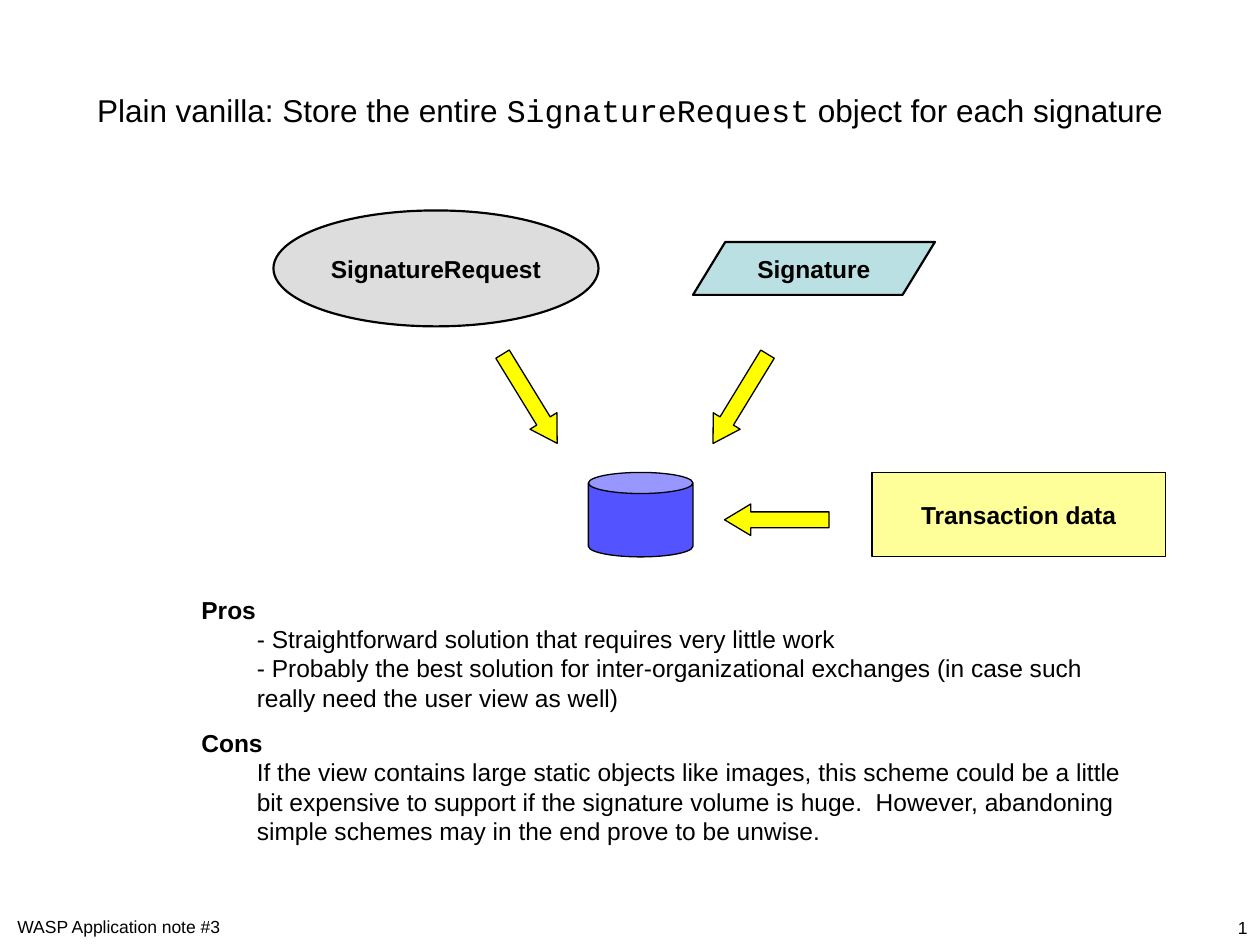
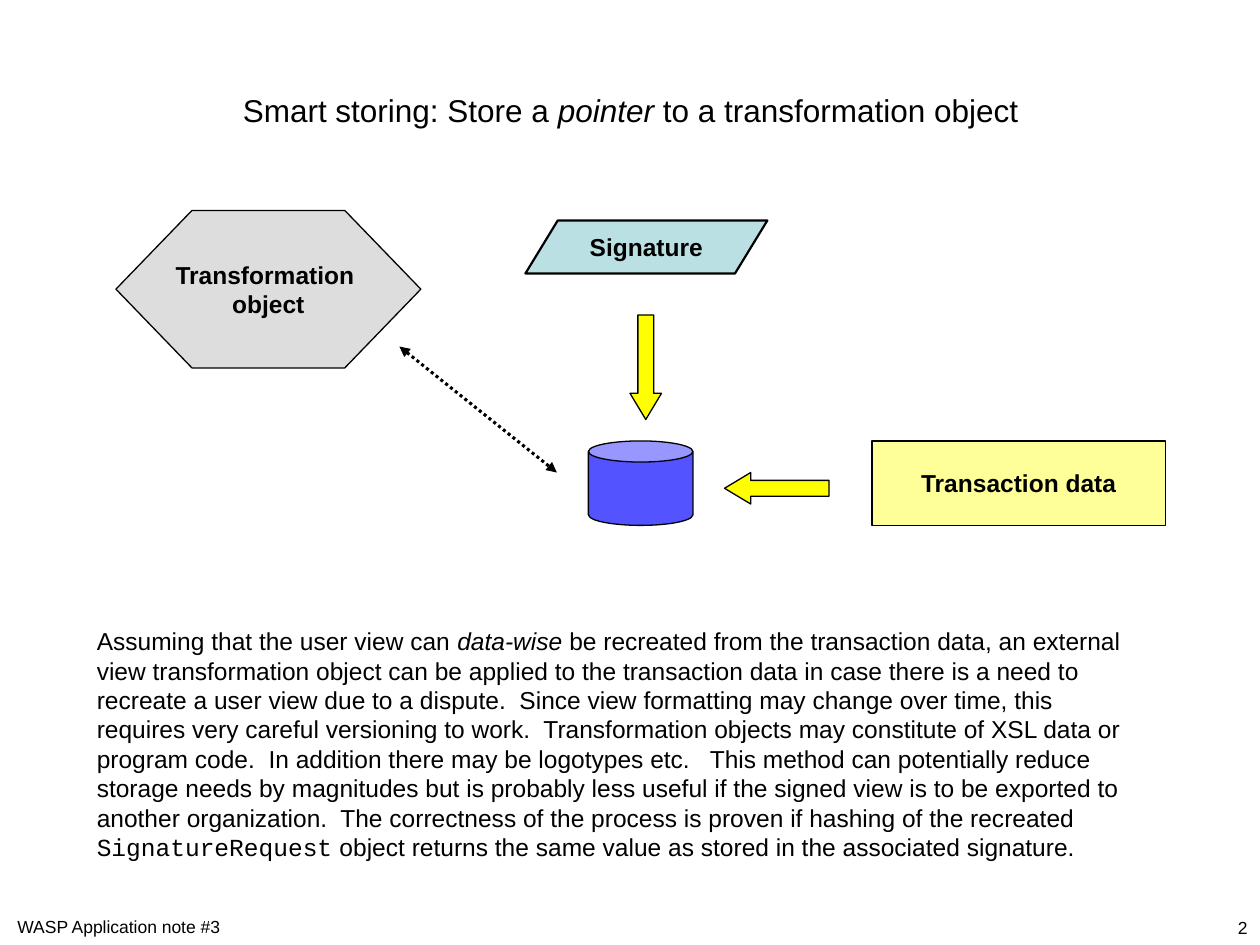
"""Build two slides comparing ways to store signed transactions."""
from typing import NamedTuple

from lxml.etree import SubElement
from pptx import Presentation
from pptx.dml.color import RGBColor
from pptx.enum.dml import MSO_LINE
from pptx.enum.shapes import MSO_CONNECTOR, MSO_SHAPE
from pptx.enum.text import MSO_ANCHOR, MSO_AUTO_SIZE, PP_ALIGN
from pptx.oxml.ns import qn
from pptx.util import Inches, Pt

BLACK = RGBColor(0x00, 0x00, 0x00)
GREY = RGBColor(0xDD, 0xDD, 0xDD)
TEAL = RGBColor(0xBB, 0xE0, 0xE3)
BLUE = RGBColor(0x53, 0x53, 0xFF)
YELLOW = RGBColor(0xFF, 0xFF, 0x00)
PALE_YELLOW = RGBColor(0xFF, 0xFF, 0x99)
SANS = "Arial"
MONO = "Courier New"
THIN = 0.74
MEDIUM = 1.25
HANGING = Inches(0.44)


class Box(NamedTuple):
    left: float
    top: float
    width: float
    height: float

    def lengths(self):
        return [Inches(value) for value in self]


class Span(NamedTuple):
    text: str
    bold: bool = False
    italic: bool = False
    font: str = SANS


class Node(NamedTuple):
    kind: MSO_SHAPE
    box: Box
    fill: RGBColor
    label: str = ""
    line_width: float = THIN
    adjustments: tuple = ()
    rotation: float = 0


TITLE_BOX = Box(0.67, 0.67, 8.67, 0.4)
FOOTER_BOX = Box(0.04, 7.22, 3.39, 0.27)
NUMBER_BOX = Box(6.61, 7.23, 3.39, 0.27)


def write_text(frame, paragraphs, *, size=14, align=PP_ALIGN.LEFT,
               anchor=MSO_ANCHOR.TOP, wrap=True, space_before=0, hanging=False):
    """Fill a text frame with paragraphs made of spans."""
    frame.auto_size = MSO_AUTO_SIZE.NONE
    frame.word_wrap = wrap
    frame.vertical_anchor = anchor
    for index, spans in enumerate(paragraphs):
        paragraph = frame.add_paragraph() if index else frame.paragraphs[0]
        paragraph.alignment = align
        paragraph.space_before = Pt(space_before if index else 0)
        paragraph.font.size = Pt(size)
        if hanging:
            properties = paragraph._p.get_or_add_pPr()
            properties.set("marL", str(HANGING))
            properties.set("indent", str(-HANGING))
        for span in spans:
            for line_index, line in enumerate(span.text.split("\n")):
                if line_index:
                    paragraph.add_line_break()
                if line:
                    run = paragraph.add_run()
                    run.text = line
                    run.font.name = span.font
                    run.font.size = Pt(size)
                    run.font.bold = span.bold
                    run.font.italic = span.italic
                    run.font.color.rgb = BLACK


def add_text(slide, box: Box, paragraphs, **text_format):
    """Add a text box and return it."""
    shape = slide.shapes.add_textbox(*box.lengths())
    write_text(shape.text_frame, paragraphs, **text_format)
    return shape


def add_node(slide, node: Node) -> None:
    """Draw one diagram shape with its optional label."""
    shape = slide.shapes.add_shape(node.kind, *node.box.lengths())
    shape.shadow.inherit = False
    shape.rotation = node.rotation
    for index, value in enumerate(node.adjustments):
        shape.adjustments[index] = value
    shape.fill.solid()
    shape.fill.fore_color.rgb = node.fill
    shape.line.color.rgb = BLACK
    shape.line.width = Pt(node.line_width)
    if node.label:
        write_text(shape.text_frame, [[Span(node.label, bold=True)]],
                   align=PP_ALIGN.CENTER, anchor=MSO_ANCHOR.MIDDLE, wrap=False)


def add_pointer(slide, start: tuple, end: tuple) -> None:
    """Draw a dotted line with an arrowhead at each end."""
    connector = slide.shapes.add_connector(
        MSO_CONNECTOR.STRAIGHT, *[Inches(value) for value in start + end])
    connector.line.color.rgb = BLACK
    connector.line.width = Pt(1.76)
    connector.line.dash_style = MSO_LINE.ROUND_DOT
    line = connector.line._get_or_add_ln()
    for end_name in ("a:headEnd", "a:tailEnd"):
        SubElement(line, qn(end_name), type="triangle")
    SubElement(connector._element.spPr, qn("a:effectLst"))


def add_slide_number(slide, number: int) -> None:
    """Add a slide number field at the lower right."""
    shape = add_text(slide, NUMBER_BOX, [[Span(str(number))]], size=10,
                     align=PP_ALIGN.RIGHT)
    run = shape.text_frame.paragraphs[0].runs[0]._r
    run.tag = qn("a:fld")
    run.set("id", "{B6F15528-21DE-4FAA-801E-634DDDAF4B2B}")
    run.set("type", "slidenum")


def add_slide(presentation, number: int, title, title_align):
    """Add a slide with the shared title and footer."""
    slide = presentation.slides.add_slide(presentation.slide_layouts[5])
    shape = slide.shapes.title
    shape.left, shape.top, shape.width, shape.height = TITLE_BOX.lengths()
    write_text(shape.text_frame, [title], size=18, align=title_align)
    add_text(slide, FOOTER_BOX, [[Span("WASP Application note #3")]], size=10)
    add_slide_number(slide, number)
    return slide


def arrow(left: float, top: float, rotation: float) -> Node:
    """Describe a block arrow turned clockwise from pointing right."""
    return Node(MSO_SHAPE.RIGHT_ARROW, Box(left, top, 0.83, 0.25), YELLOW,
                adjustments=(0.5, 0.833), rotation=rotation)


def signature(left: float, top: float) -> Node:
    """Describe the signature parallelogram."""
    return Node(MSO_SHAPE.PARALLELOGRAM, Box(left, top, 1.92, 0.42), TEAL,
                "Signature", MEDIUM, (0.611,))


def storage(top: float) -> list[Node]:
    """Describe the database fed by transaction data."""
    return [
        Node(MSO_SHAPE.CAN, Box(4.67, top, 0.83, 0.67), BLUE, adjustments=(0.25,)),
        Node(MSO_SHAPE.RECTANGLE, Box(6.92, top, 2.33, 0.67), PALE_YELLOW,
             "Transaction data"),
        arrow(5.75, top + 0.25, 180),
    ]


def build_plain_slide(presentation) -> None:
    """Build the slide on storing the whole request."""
    title = [Span("Plain vanilla: Store the entire "),
             Span("SignatureRequest", font=MONO),
             Span(" object for each signature")]
    slide = add_slide(presentation, 2, title, PP_ALIGN.LEFT)
    request = Node(MSO_SHAPE.OVAL, Box(2.17, 1.67, 2.58, 0.92), GREY,
                   "SignatureRequest", MEDIUM)
    for node in [signature(5.5, 1.92), request, arrow(3.79, 3.04, 58.5),
                 arrow(5.46, 3.04, 121.4), *storage(3.75)]:
        add_node(slide, node)
    pros = [Span("Pros\n", bold=True),
            Span("- Straightforward solution that requires very little work\n"
                 "- Probably the best solution for inter-organizational exchanges "
                 "(in case such really need the user view as well)")]
    cons = [Span("Cons\n", bold=True),
            Span("If the view contains large static objects like images, this "
                 "scheme could be a little bit expensive to support if the "
                 "signature volume is huge.  However, abandoning simple schemes "
                 "may in the end prove to be unwise.")]
    add_text(slide, Box(1.5, 4.67, 7.67, 2.09), [pros, cons],
             space_before=8.8, hanging=True)


def build_smart_slide(presentation) -> None:
    """Build the slide on storing a pointer."""
    title = [Span("Smart storing: Store a "), Span("pointer", italic=True),
             Span(" to a transformation object")]
    slide = add_slide(presentation, 3, title, PP_ALIGN.CENTER)
    transformation = Node(MSO_SHAPE.HEXAGON, Box(0.92, 1.67, 2.42, 1.25), GREY,
                          "Transformation \nobject", adjustments=(0.483, 1.155))
    for node in [signature(4.17, 1.75), *storage(3.5), transformation,
                 arrow(4.71, 2.79, 90)]:
        add_node(slide, node)
    add_pointer(slide, (3.17, 2.75), (4.42, 3.75))
    explanation = [
        Span("Assuming that the user view can "),
        Span("data-wise", italic=True),
        Span(" be recreated from the transaction data, an external view "
             "transformation object can be applied to the transaction data in "
             "case there is a need to recreate a user view due to a dispute.  "
             "Since view formatting may change over time, this requires very "
             "careful versioning to work.  Transformation objects may constitute "
             "of XSL data or program code.  In addition there may be logotypes "
             "etc.   This method can potentially reduce storage needs by "
             "magnitudes but is probably less useful if the signed view is to be "
             "exported to another organization.  The correctness of the process "
             "is proven if hashing of the recreated "),
        Span("SignatureRequest", font=MONO),
        Span(" object returns the same value as stored in the associated "
             "signature."),
    ]
    add_text(slide, Box(0.67, 4.92, 8.5, 1.97), [explanation])


def main() -> None:
    """Create and save the presentation."""
    presentation = Presentation()
    presentation.slide_width = Inches(10)
    presentation.slide_height = Inches(7.5)
    build_plain_slide(presentation)
    build_smart_slide(presentation)
    presentation.save("out.pptx")


main()
